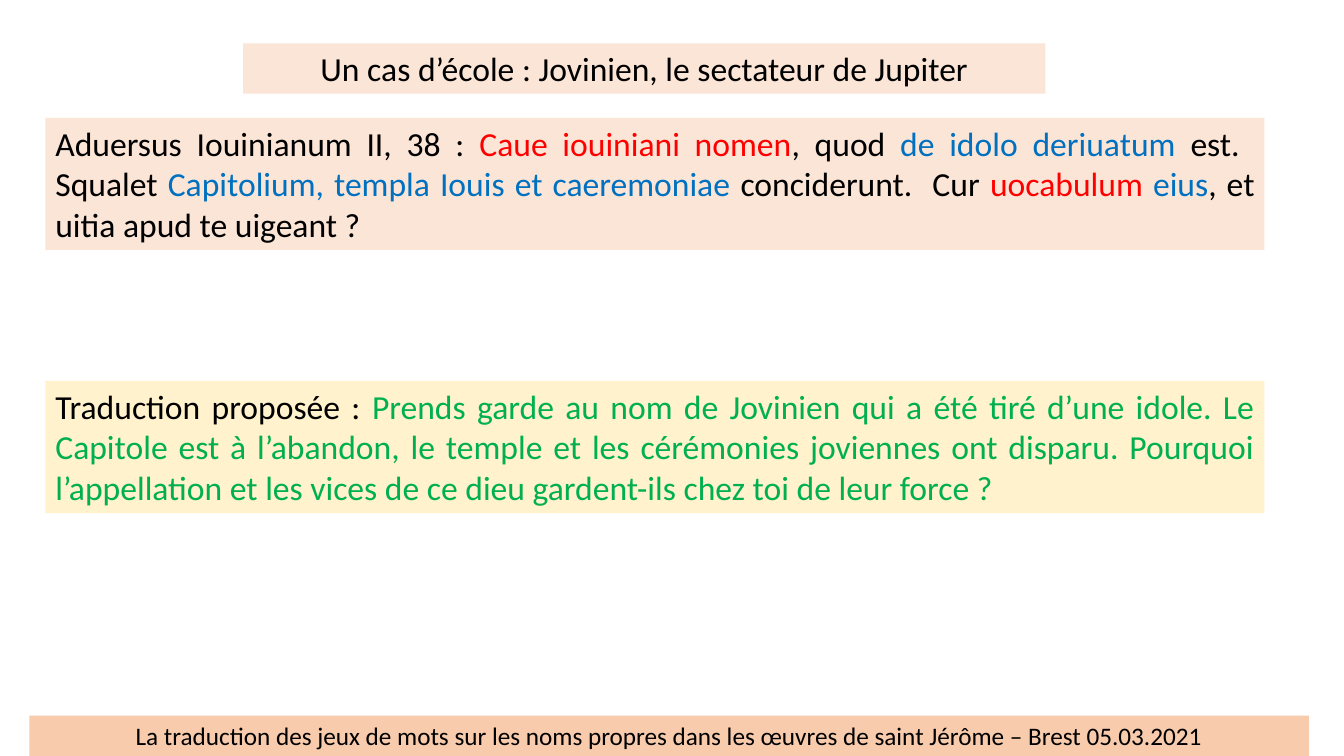
import pptx
import pptx.dml.color
import pptx.enum.shapes
import pptx.enum.text
import pptx.util

ALIGN = pptx.enum.text.PP_ALIGN
COLORS = {
    "peach": "FBE5D6", "apricot": "F8CBAD", "cream": "FFF2CC",
    "black": "000000", "red": "FF0000", "blue": "0070C0", "green": "00B050",
}

prs = pptx.Presentation()
prs.slide_width = pptx.util.Inches(13.33)
prs.slide_height = pptx.util.Inches(7.5)
col, row = prs.slide_width / 100, prs.slide_height / 100
slide = prs.slides.add_slide(prs.slide_layouts[6])


def rgb(name):
    return pptx.dml.color.RGBColor.from_string(COLORS[name])


footer = [("La traduction des jeux de mots sur les noms propres dans les œuvres "
           "de saint Jérôme – Brest 05.03.2021", "black")]
title = [("Un cas d’école : Jovinien, le sectateur de Jupiter", "black")]
translation = [
    ("Traduction proposée : ", "black"),
    ("Prends garde au nom de Jovinien qui a été tiré d’une idole. Le Capitole "
     "est à l’abandon, le temple et les cérémonies joviennes ont disparu. "
     "Pourquoi l’appellation et les vices de ce dieu gardent-ils chez toi de "
     "leur force ?", "green"),
]
latin = [
    ("Aduersus Iouinianum II, 38 : ", "black"),
    ("Caue iouiniani nomen", "red"),
    (", quod ", "black"),
    ("de idolo deriuatum ", "blue"),
    ("est.  Squalet ", "black"),
    ("Capitolium, templa Iouis et caeremoniae ", "blue"),
    ("conciderunt.  Cur ", "black"),
    ("uocabulum ", "red"),
    ("eius", "blue"),
    (", et uitia apud te uigeant ?", "black"),
]

# left, width in columns; top, height in rows; fill, alignment, size, runs
boxes = [
    (2.18, 95.2, 94.67, 5.33, "apricot", ALIGN.CENTER, 18, footer),
    (18.08, 59.7, 5.73, 6.67, "peach", ALIGN.CENTER, 24, title),
    (3.38, 90.7, 50.4, 17.47, "cream", ALIGN.JUSTIFY, 24, translation),
    (3.38, 90.7, 15.6, 17.47, "peach", ALIGN.JUSTIFY, 24, latin),
]

for left, width, top, height, fill, align, size, runs in boxes:
    sp = slide.shapes.add_shape(
        pptx.enum.shapes.MSO_SHAPE.RECTANGLE,
        round(left * col), round(top * row), round(width * col), round(height * row))
    sp.shadow.inherit = False
    sp.fill.solid()
    sp.fill.fore_color.rgb = rgb(fill)
    sp.line.fill.background()
    tf = sp.text_frame
    tf.word_wrap = True
    tf.auto_size = pptx.enum.text.MSO_AUTO_SIZE.SHAPE_TO_FIT_TEXT
    tf.vertical_anchor = pptx.enum.text.MSO_ANCHOR.TOP
    p = tf.paragraphs[0]
    p.alignment = align
    for text, color in runs:
        r = p.add_run()
        r.text = text
        r.font.name = "Calibri"
        r.font.size = pptx.util.Pt(size)
        r.font.color.rgb = rgb(color)

prs.save("out.pptx")
